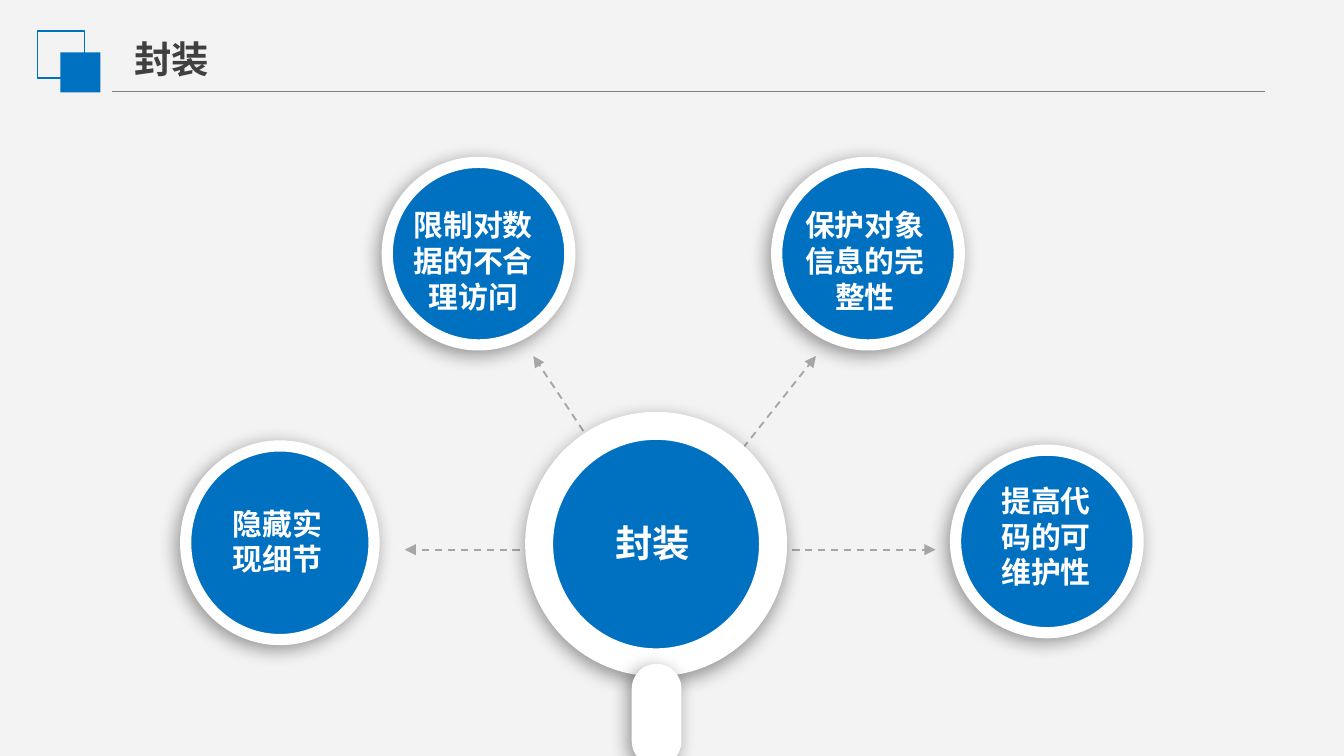
from lxml.etree import SubElement
from pptx import Presentation
from pptx.dml.color import RGBColor
from pptx.enum.dml import MSO_LINE
from pptx.enum.shapes import MSO_CONNECTOR, MSO_SHAPE
from pptx.enum.text import MSO_ANCHOR, MSO_AUTO_SIZE, PP_ALIGN
from pptx.oxml.ns import qn
from pptx.util import Cm, Pt

FONT = "Noto Sans CJK SC"
COLORS = {
    "background": "F3F3F3",
    "blue": "0070C0",
    "white": "FFFFFF",
    "title": "404040",
    "rule": "808080",
    "arrow": "A6A6A6",
    "shadow": "000000",
}
HUB_CENTER = (12.52, 10.39)
ARROW_TIPS = [(7.65, 10.39), (17.68, 10.39), (10.08, 6.73), (15.42, 6.73)]
# label, circle box, text box (left, top, width, height in cm)
BENEFITS = [
    ("隐藏实现细节", (3.51, 8.43, 3.56, 3.66), (4.01, 9.4, 2.46, 1.68)),
    ("限制对数据的不合理访问", (7.32, 3.07, 3.45, 3.45), (7.47, 3.76, 2.95, 2.36)),
    ("保护对象信息的完整性", (14.68, 3.07, 3.45, 3.45), (14.86, 3.76, 2.97, 2.36)),
    ("提高代码的可维护性", (18.06, 8.51, 3.45, 3.45), (18.54, 8.97, 2.46, 2.36)),
]


def rgb(name):
    return RGBColor.from_string(COLORS[name])


def lengths(values):
    return [Cm(value) for value in values]


def write_text(shape, text, size, color, align, insets=(0.25, 0.13), wrap=True):
    frame = shape.text_frame
    frame.text = text
    frame.word_wrap = wrap
    frame.auto_size = MSO_AUTO_SIZE.SHAPE_TO_FIT_TEXT
    frame.vertical_anchor = MSO_ANCHOR.TOP
    frame.margin_left = frame.margin_right = Cm(insets[0])
    frame.margin_top = frame.margin_bottom = Cm(insets[1])
    paragraph = frame.paragraphs[0]
    paragraph.alignment = align
    font = paragraph.font
    font.name, font.size, font.bold = FONT, Pt(size), True
    font.color.rgb = rgb(color)
    # Chinese characters take the East Asian typeface
    defaults = paragraph._p.pPr.find(qn("a:defRPr"))
    SubElement(defaults, qn("a:ea"), typeface=FONT)


def add_label(slide, text, box, size, **options):
    label = slide.shapes.add_textbox(*lengths(box))
    write_text(label, text, size, "white", PP_ALIGN.CENTER, **options)


def add_block(slide, kind, box, fill=None, line=None, line_width=1):
    block = slide.shapes.add_shape(kind, *lengths(box))
    block.shadow.inherit = False
    if fill:
        block.fill.solid()
        block.fill.fore_color.rgb = rgb(fill)
    else:
        block.fill.background()
    if line:
        block.line.color.rgb = rgb(line)
        block.line.width = Pt(line_width)
    else:
        block.line.fill.background()
    return block


def add_shadow(shape, direction=135):
    """Give the shape a soft black outer shadow; direction is in degrees."""
    effects = shape._element.spPr.find(qn("a:effectLst"))
    outer = SubElement(
        effects, qn("a:outerShdw"), blurRad=str(Pt(10)), dist=str(Pt(3)),
        dir=str(direction * 60000), algn="ctr", rotWithShape="0",
    )
    color = SubElement(outer, qn("a:srgbClr"), val=COLORS["shadow"])
    SubElement(color, qn("a:alpha"), val="40000")


def add_line(slide, start, end, color, width):
    line = slide.shapes.add_connector(MSO_CONNECTOR.STRAIGHT, *lengths(start + end))
    line.line.color.rgb = rgb(color)
    line.line.width = Pt(width)
    SubElement(line._element.spPr, qn("a:effectLst"))
    return line


def add_dashed_arrow(slide, start, end):
    arrow = add_line(slide, start, end, "arrow", 1)
    arrow.line.dash_style = MSO_LINE.DASH
    SubElement(arrow.line._get_or_add_ln(), qn("a:tailEnd"), type="triangle")


def add_header(slide, text):
    add_line(slide, (2.11, 1.73), (23.9, 1.73), "rule", 0.75)
    add_block(slide, MSO_SHAPE.RECTANGLE, (0.71, 0.58, 0.89, 0.89), line="blue")
    add_block(slide, MSO_SHAPE.RECTANGLE, (1.14, 0.99, 0.76, 0.76), fill="blue")
    title = slide.shapes.title
    title.left, title.top, title.width, title.height = lengths((2.29, 0.56, 1.93, 1.12))
    write_text(title, text, 20, "title", PP_ALIGN.LEFT, wrap=False)


def add_hub(slide, text):
    lens = add_block(slide, MSO_SHAPE.OVAL, (10.19, 8.05, 4.42, 4.47), "blue", "white", 15)
    add_shadow(lens, 100)
    handle = add_block(slide, MSO_SHAPE.ROUNDED_RECTANGLE, (11.94, 12.55, 0.94, 1.93), "white")
    handle.adjustments[0] = 0.5
    add_shadow(handle)
    add_label(slide, text, (10.31, 9.7, 4.06, 1.12), 20)


def add_benefit(slide, text, circle_box, text_box):
    circle = add_block(slide, MSO_SHAPE.OVAL, circle_box, "blue", "white", 6)
    add_shadow(circle)
    add_label(slide, text, text_box, 16, insets=(0.3, 0.15))


def main():
    deck = Presentation()
    deck.slide_width, deck.slide_height = Cm(25.4), Cm(14.29)
    slide = deck.slides.add_slide(deck.slide_layouts[5])
    slide.background.fill.solid()
    slide.background.fill.fore_color.rgb = rgb("background")

    add_header(slide, "封装")
    for tip in ARROW_TIPS:
        add_dashed_arrow(slide, HUB_CENTER, tip)
    add_hub(slide, "封装")
    for benefit in BENEFITS:
        add_benefit(slide, *benefit)
    deck.save("out.pptx")


if __name__ == "__main__":
    main()
